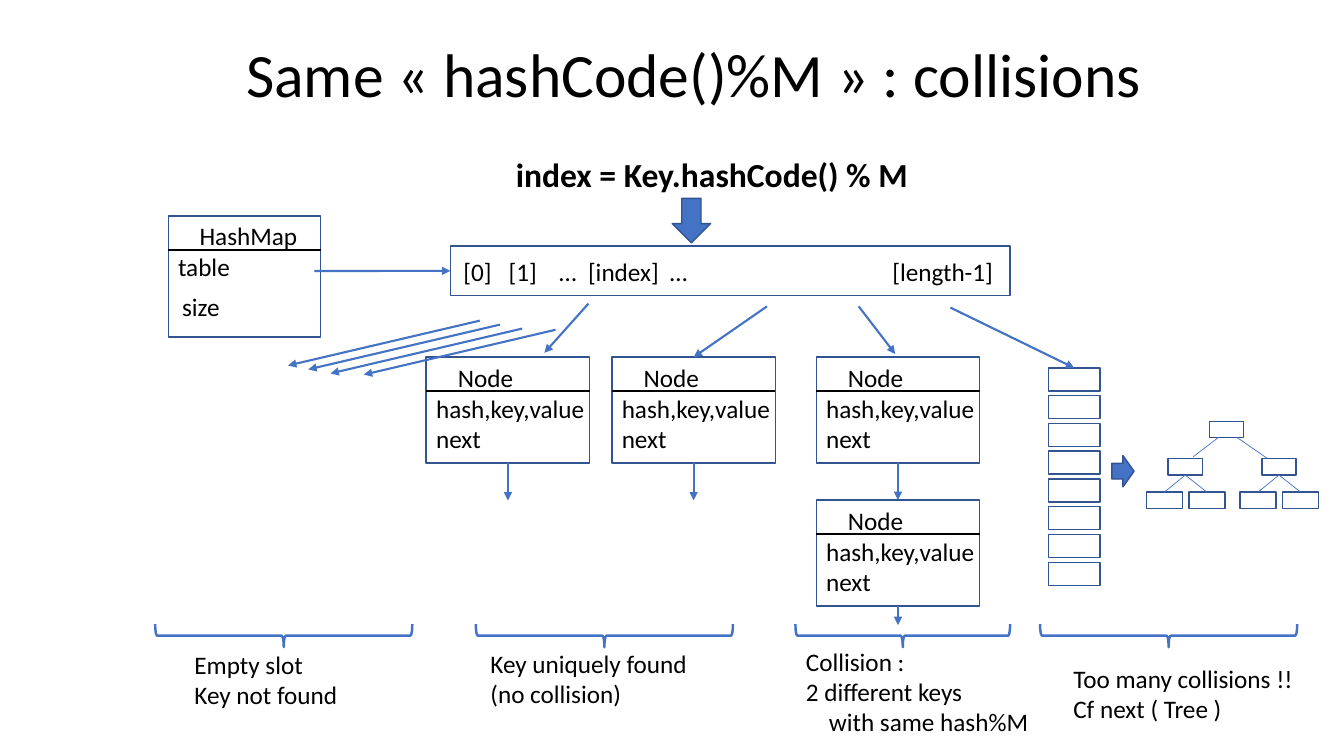
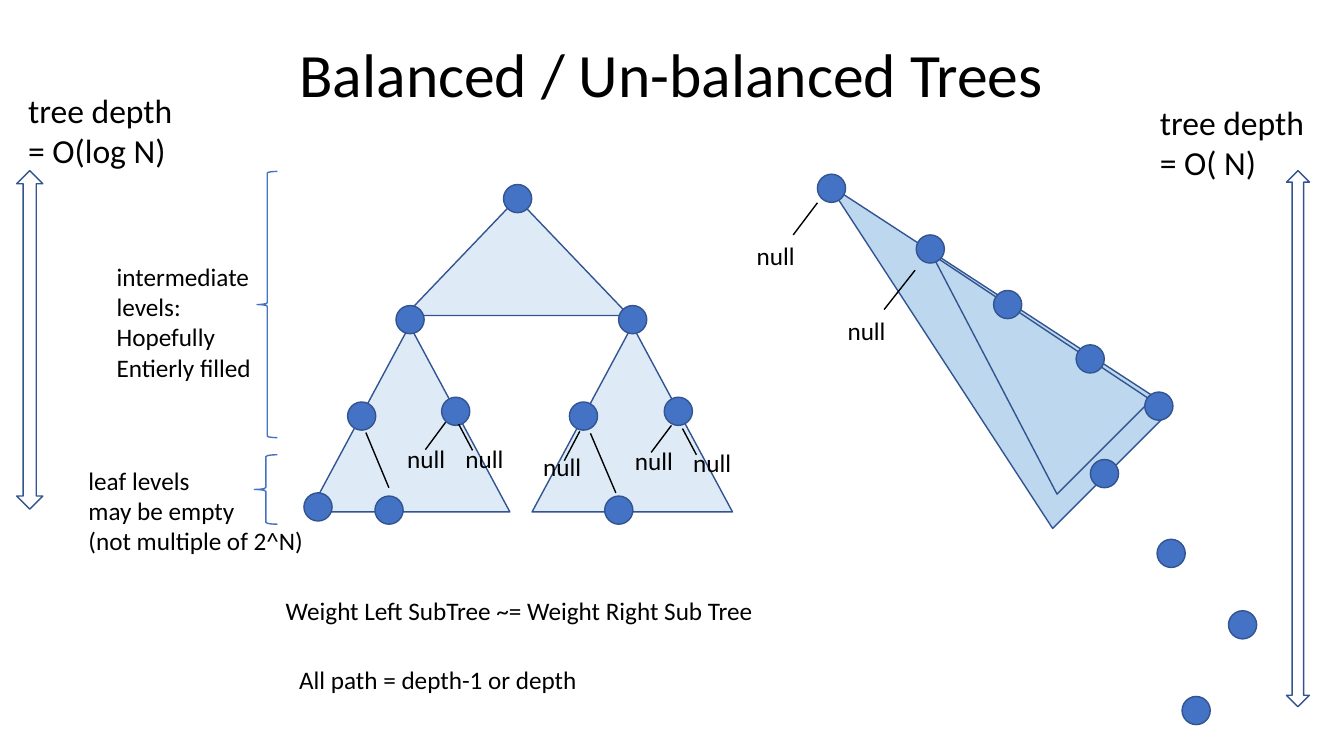
from dataclasses import dataclass

import lxml.etree
import pptx
import pptx.dml.color
import pptx.enum.shapes
import pptx.enum.text
import pptx.oxml.ns
import pptx.util

Cm = pptx.util.Cm
Pt = pptx.util.Pt
qn = pptx.oxml.ns.qn
RGB = pptx.dml.color.RGBColor.from_string
SHAPE = pptx.enum.shapes.MSO_SHAPE
ANCHOR = pptx.enum.text.MSO_ANCHOR
ALIGN = pptx.enum.text.PP_ALIGN
STRAIGHT = pptx.enum.shapes.MSO_CONNECTOR.STRAIGHT
TOP, LEFT, BOTTOM = 0, 1, 2


@dataclass(frozen=True)
class Theme:
    font: str = "Calibri"
    ink: str = "000000"
    blue: str = "4472C4"
    outline: str = "325491"
    pale: str = "DEEBF7"
    light: str = "BDD7EE"
    title: int = 44
    large: int = 24
    body: int = 18
    thin: float = 0.5
    border: float = 1
    arrow: float = 1.5
    brace: float = 1.75


T = Theme()


def add_text(s, text, x, y, w, h=None, size=T.body, bold=False,
             align=ALIGN.LEFT, anchor=ANCHOR.TOP, spacing=1.0, tabs=()):
    """One paragraph per line of text; tabs are stops in cm."""
    lines = text.split("\n")
    height = Cm(h) if h else Pt(1.2 * size * len(lines)) + Cm(0.25)
    tf = s.shapes.add_textbox(Cm(x), Cm(y), Cm(w), height).text_frame
    tf.word_wrap = True
    tf.vertical_anchor = anchor
    for i, line in enumerate(lines):
        p = tf.paragraphs[0] if i == 0 else tf.add_paragraph()
        p.alignment = align
        p.line_spacing = spacing
        if "\t" in line:
            stops = lxml.etree.SubElement(p._p.get_or_add_pPr(), qn("a:tabLst"))
            for stop in tabs:
                lxml.etree.SubElement(stops, qn("a:tab"), pos=str(Cm(stop)), algn="l")
        r = p.add_run()
        r.text = line
        r.font.name = T.font
        r.font.size = Pt(size)
        r.font.bold = bold
        r.font.color.rgb = RGB(T.ink)


def draw(s, kind, a, b, c, d, fill=None, color=T.outline, width=T.border,
         rotation=0, arrow=False):
    """Shape at left, top, width, height, or a straight line from a, b to c, d."""
    lengths = [Cm(v) for v in (a, b, c, d)]
    # STRAIGHT and RECTANGLE share the value 1, so compare by identity
    is_line = kind is STRAIGHT
    if is_line:
        sp = s.shapes.add_connector(kind, *lengths)
    else:
        sp = s.shapes.add_shape(kind, *lengths)
        sp.shadow.inherit = False
        sp.rotation = rotation
        if fill:
            sp.fill.solid()
            sp.fill.fore_color.rgb = RGB(fill)
        else:
            sp.fill.background()
    sp.line.color.rgb = RGB(color)
    sp.line.width = Pt(width)
    if is_line:
        if arrow:
            lxml.etree.SubElement(sp.get_or_add_ln(), qn("a:tailEnd"), type="triangle")
        lxml.etree.SubElement(sp._element.spPr, qn("a:effectLst"))
    return sp


prs = pptx.Presentation()
prs.slide_width, prs.slide_height = Cm(33.87), Cm(19.05)

title_style = dict(y=0.38, h=3.15, size=T.title, align=ALIGN.CENTER,
                   anchor=ANCHOR.MIDDLE, spacing=0.9)
arrow_style = dict(color=T.blue, width=T.arrow, arrow=True)
divider_style = dict(color=T.ink, width=T.arrow)
branch_style = dict(color=T.blue, width=T.thin)

# Slide 1: collisions
s = prs.slides.add_slide(prs.slide_layouts[6])
add_text(s, "Same « hashCode()%M » : collisions", x=1.48, w=32.03, **title_style)

# Map object and its table
draw(s, SHAPE.RECTANGLE, 4.24, 5.44, 3.84, 3.05)
draw(s, STRAIGHT, 4.24, 6.3, 8.08, 6.3, **divider_style)
for label, x, y in (("HashMap", 4.78, 5.43), ("table", 4.24, 6.22), ("size", 4.34, 7.21)):
    add_text(s, label, x, y, 3.2)

table = draw(s, SHAPE.RECTANGLE, 11.35, 6.2, 14.1, 1.25)
add_text(s, "[0]\t[1]\t…\t[index]\t…\t[length-1]", 11.43, 6.34, 14,
         tabs=(1.14, 2.41, 3.14, 5.2, 10.81))
draw(s, STRAIGHT, 7.92, 6.83, 11.35, 6.83, **arrow_style).end_connect(table, LEFT)
add_text(s, "index = Key.hashCode() % M", 12.75, 3.76, 10.8, size=T.large, bold=True)
draw(s, SHAPE.DOWN_ARROW, 16.94, 5, 0.97, 1.12, fill=T.blue)

# Nodes, each with the arrow of its next field
node_w, node_h = 4.12, 2.67
nodes, next_arrows = [], []
for x, y, drop in ((10.74, 9, 0.94), (15.42, 9, 0.94), (20.57, 9, 0.93), (20.57, 12.6, 0.48)):
    node = draw(s, SHAPE.RECTANGLE, x, y, node_w, node_h)
    add_text(s, "Node", x + 0.55, y, 2.2)
    add_text(s, "hash,key,value\nnext", x, y + 0.79, 4.6)
    draw(s, STRAIGHT, x, y + 0.86, x + node_w, y + 0.86, **divider_style)
    middle, bottom = x + node_w / 2, y + node_h
    link = draw(s, STRAIGHT, middle, bottom, middle, bottom + drop, **arrow_style)
    link.begin_connect(node, BOTTOM)
    nodes.append(node)
    next_arrows.append(link)
next_arrows[2].end_connect(nodes[3], TOP)

# Long chain that becomes a tree
slots = [draw(s, SHAPE.RECTANGLE, 26.42, 9.27 + 0.7 * i, 1.3, 0.58) for i in range(8)]
draw(s, SHAPE.RIGHT_ARROW, 28.02, 11.48, 0.56, 0.79, fill=T.blue)
draw(s, SHAPE.RECTANGLE, 30.48, 10.62, 0.86, 0.41)
draw(s, STRAIGHT, 30.71, 11.02, 30.07, 11.51, **branch_style)
draw(s, STRAIGHT, 31.17, 11.02, 31.95, 11.56, **branch_style)
for x in (29.44, 31.8):
    child = draw(s, SHAPE.RECTANGLE, x, 11.56, 0.86, 0.41)
    for offset in (-0.55, 0.52):
        leaf = draw(s, SHAPE.RECTANGLE, x + offset, 12.4, 0.91, 0.41)
        branch = draw(s, STRAIGHT, x + 0.43, 11.97, x + offset + 0.45, 12.4, **branch_style)
        branch.begin_connect(child, BOTTOM)
        branch.end_connect(leaf, TOP)

# Arrows leaving the table
for x, y in ((12.09, 8.08), (12.6, 8.18), (13.16, 8.28), (14, 8.31)):
    draw(s, STRAIGHT, x, y, x - 4.83, y + 1.13, **arrow_style)
for x1, y1, x2, y2, target in (
    (14.83, 7.65, 13.72, 8.89, None),
    (19.33, 7.72, 17.48, 9, nodes[1]),
    (21.64, 7.72, 22.56, 8.92, None),
    (23.95, 7.75, 27.07, 9.27, slots[0]),
):
    link = draw(s, STRAIGHT, x1, y1, x2, y2, **arrow_style)
    if target:
        link.end_connect(target, TOP)

# Cases: brace centre and span, then the caption
for center, span, caption, x, y in (
    (7.15, 6.48, "Empty slot\nKey not found", 4.65, 16.23),
    (15.23, 6.48, "Key uniquely found\n(no collision)", 12.11, 16.2),
    (22.75, 5.41, "Collision :\n2 different keys\n\twith same hash%M", 20.06, 16.15),
    (29.45, 6.48, "Too many collisions !!\nCf next ( Tree )", 26.8, 16.59),
):
    draw(s, SHAPE.RIGHT_BRACE, center - 0.29, 16.02 - span / 2, 0.58, span,
         color=T.blue, width=T.brace, rotation=90)
    add_text(s, caption, x, y, 6.6, tabs=(0.58,))

# Slide 2: balanced and unbalanced trees
s = prs.slides.add_slide(prs.slide_layouts[6])
add_text(s, "Balanced / Un-balanced Trees", x=2.32, w=29.21, **title_style)

for x, y, w, h, fill, rotation, apex in (
    (10.21, 5, 5.64, 2.95, T.pale, 0, 0.5),
    (7.8, 8.2, 5.05, 4.7, T.pale, 0, 0.5),
    (13.41, 8.2, 5.05, 4.7, T.pale, 0, 0.5),
    (22.33, 3.18, 4.27, 10.11, T.light, 315, 0.5),
    (23.85, 5.72, 3.35, 6.5, T.light, 315, 0.61),
):
    sp = draw(s, SHAPE.ISOSCELES_TRIANGLE, x, y, w, h, fill=fill, rotation=rotation)
    sp.adjustments[0] = apex

balanced = ((12.69, 4.65), (9.98, 7.7), (15.59, 7.7), (8.76, 10.13), (11.13, 10.01),
            (14.35, 10.13), (16.74, 10.01), (7.66, 12.42), (9.45, 12.5), (15.24, 12.5))
unbalanced = ((20.6, 4.39), (23.09, 5.92), (25.04, 7.32), (27.12, 8.69), (28.85, 9.88),
              (27.48, 11.58), (29.16, 13.59), (30.96, 15.39), (29.79, 17.55))
for x, y in balanced + unbalanced:
    draw(s, SHAPE.OVAL, x, y, 0.71, 0.71, fill=T.blue)

for ends in (
    (9.22, 10.9, 9.8, 12.29), (14.88, 10.92, 15.52, 12.42),
    (11.23, 10.64, 10.72, 11.33), (11.56, 10.69, 11.91, 11.35),
    (14.61, 10.87, 14.22, 11.61), (16.92, 10.72, 16.41, 11.4),
    (17.2, 10.8, 17.55, 11.46), (20.6, 5.11, 19.99, 5.92),
    (23.06, 6.81, 22.28, 7.8),
):
    draw(s, STRAIGHT, *ends, color=T.ink)
for x, y in ((10.01, 11.05), (11.48, 11.05), (13.44, 11.26), (15.75, 11.1),
             (17.22, 11.15), (18.82, 5.92), (21.11, 7.82)):
    add_text(s, "null", x, y, 1.7)

# Depth arrows, level braces and remarks
draw(s, SHAPE.UP_DOWN_ARROW, 0.42, 4.3, 0.66, 8.53)
draw(s, SHAPE.UP_DOWN_ARROW, 32.42, 4.3, 0.58, 13.51)
draw(s, SHAPE.LEFT_BRACE, 6.48, 4.32, 0.51, 6.71, color=T.blue)
draw(s, SHAPE.LEFT_BRACE, 6.41, 11.46, 0.58, 1.75, color=T.blue)
for text, x, y, w, size in (
    ("tree depth\n= O(log N)", 0.46, 2.13, 4.5, T.large),
    ("tree depth\n= O( N)", 28.98, 2.44, 4.5, T.large),
    ("intermediate\nlevels:\nHopefully\nEntierly filled", 2.69, 6.46, 4.2, T.body),
    ("leaf levels\nmay be empty\n(not multiple of 2^N)", 1.98, 11.59, 6.3, T.body),
    ("Weight Left SubTree ~= Weight Right Sub Tree", 6.95, 14.87, 12.8, T.body),
    ("All path = depth-1 or depth", 7.29, 16.61, 8, T.body),
):
    add_text(s, text, x, y, w, size=size)

prs.save("out.pptx")
